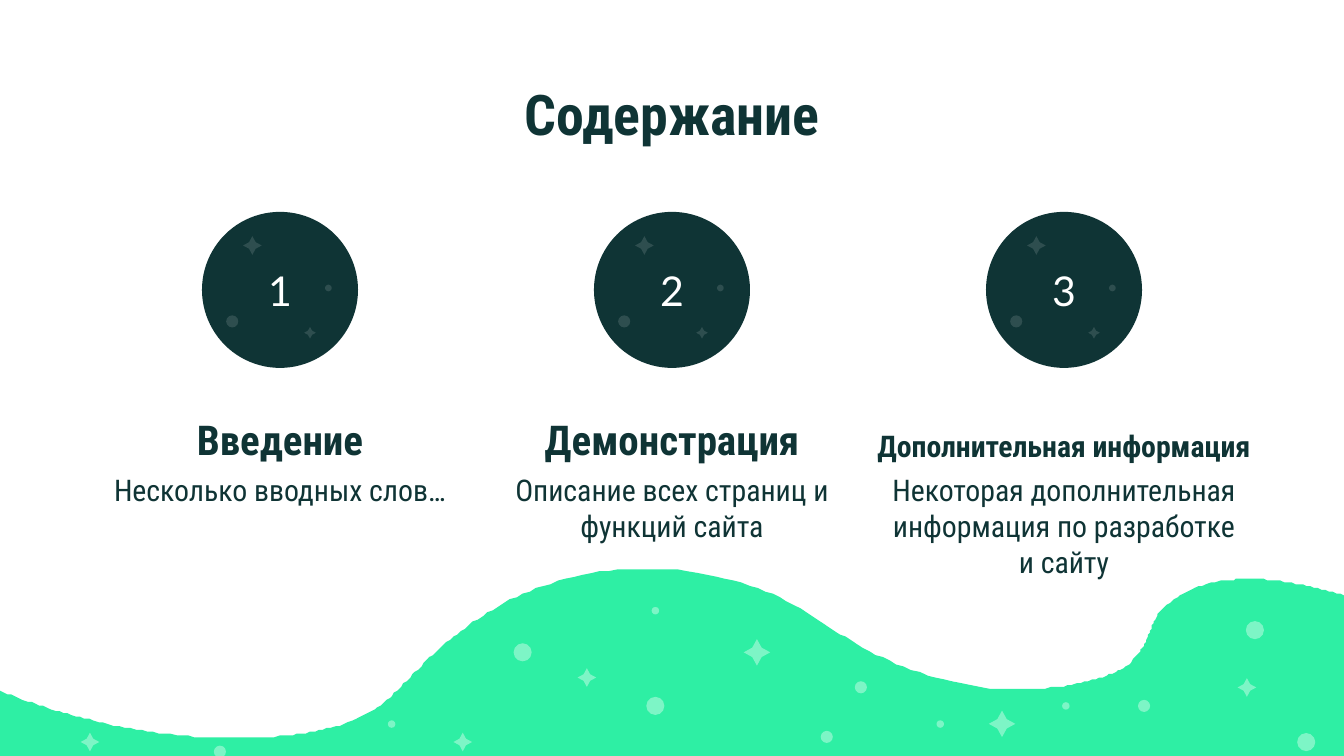
from lxml import etree
from pptx import Presentation
from pptx import util as u
from pptx.dml.color import RGBColor
from pptx.enum import shapes, text
from pptx.oxml.ns import qn

INK, GREEN, WHITE = "0F3435", "2EEFA4", "FFFFFF"
CONDENSED, LATO = "Roboto Condensed", "Lato"
DOT, STAR = shapes.MSO_SHAPE.OVAL, shapes.MSO_SHAPE.STAR_4_POINT
TOP, MIDDLE, BOTTOM = (text.MSO_ANCHOR.TOP, text.MSO_ANCHOR.MIDDLE,
                       text.MSO_ANCHOR.BOTTOM)

# Each segment holds two control points and an end point, or only an end point.
WAVE_START = (346.3, 304.6)
WAVE = [
    [(303.8, 304.6), (272.9, 319.7), (253.4, 333.4)],
    [(241.2, 342), (231.1, 350.6), (222.5, 360)],
    [(212.4, 370.1), (204.5, 380.9), (183.6, 388.1)],
    [(167.8, 393.1), (147.6, 395.3), (126.7, 395.3)],
    [(101.5, 395.3), (74.2, 392.4), (52.6, 386.6)],
    [(33.1, 382.3), (16.6, 376.6), (0, 370.1)],
    [(0, 424.8)],
    [(720, 424.8)],
    [(720, 319)],
    [(704.9, 314.6), (688.3, 310.3), (670.3, 310.3)],
    [(666, 310.3), (661, 310.3), (656.6, 311)],
    [(634.3, 313.9), (622.8, 324), (618.5, 332.6)],
    [(614.2, 341.3), (613.4, 350.6), (600.5, 358.6)],
    [(589.7, 364.3), (570.2, 368.6), (550.1, 369.4)],
    [(546.5, 369.4)],
    [(501.8, 369.4), (469.4, 352.1), (447.1, 337.7)],
    [(424.8, 321.8), (393.1, 304.6), WAVE_START],
]

# Kind, centre x, centre y, size
WAVE_SPARKLES = [
    (DOT, 612.9, 378.2, 6.5), (DOT, 461.2, 368.2, 6.5), (DOT, 442.9, 394.8, 6.5),
    (DOT, 117.8, 402.7, 6.5), (DOT, 280, 349.5, 9.7), (DOT, 672.3, 337.6, 9.7),
    (DOT, 351.1, 378.2, 9.7), (DOT, 699.8, 397.6, 9.7), (DOT, 209.8, 387.9, 4),
    (DOT, 351.1, 327.2, 4), (DOT, 503.7, 387.9, 4), (DOT, 571, 378.2, 4),
    (STAR, 314.4, 363, 10), (STAR, 405.5, 349.5, 14.2), (STAR, 247.9, 397.5, 10),
    (STAR, 536.8, 387.8, 14.2), (STAR, 668, 368.3, 10), (STAR, 48.2, 397.5, 10),
]
BADGE_SPARKLES = [(DOT, 16.2, 58.7, 6.5), (STAR, 27, 18, 10),
                  (DOT, 67.7, 40.8, 3.6), (STAR, 57.9, 64.8, 6.3)]

COLUMNS = [
    ("Введение", 22, "Несколько вводных слов…"),
    ("Демонстрация", 22, "Описание всех страниц и функций сайта"),
    ("Дополнительная информация", 16,
     "Некоторая дополнительная информация по разработке и сайту"),
]


def rgb(hex_color):
    return RGBColor.from_string(hex_color)


def paint(shape, color, opacity=100):
    """Give a shape a plain fill, with no line or shadow."""
    shape.shadow.inherit = False
    shape.line.fill.background()
    shape.fill.solid()
    shape.fill.fore_color.rgb = rgb(color)
    if opacity < 100:
        node = shape.fill._xPr.find(".//" + qn("a:srgbClr"))
        etree.SubElement(node, qn("a:alpha"), val=str(opacity * 1000))


def add_text(page, box, words, size, font=CONDENSED, color=INK, bold=False,
             anchor=TOP, inset=0):
    label = page.shapes.add_textbox(*map(u.Pt, box))
    frame = label.text_frame
    frame.word_wrap = True
    frame.vertical_anchor = anchor
    frame.margin_left = frame.margin_right = u.Pt(inset)
    frame.margin_top = frame.margin_bottom = u.Pt(inset)
    para = frame.paragraphs[0]
    para.alignment = text.PP_ALIGN.CENTER
    span = para.add_run()
    span.text = words
    span.font.name, span.font.size, span.font.bold = font, u.Pt(size), bold
    span.font.color.rgb = rgb(color)


def add_sparkles(group, left, top, sparkles, opacity):
    for kind, x, y, size in sparkles:
        sparkle = group.shapes.add_shape(
            kind, u.Pt(left + x - size / 2), u.Pt(top + y - size / 2),
            u.Pt(size), u.Pt(size))
        if kind == STAR:
            sparkle.adjustments[0] = 0.25
        paint(sparkle, WHITE, opacity)


def curve_points(start, segments, steps=24):
    """Turn cubic curves and straight segments into a list of points."""
    points = [start]
    for segment in segments:
        if len(segment) == 1:
            points += segment
            continue
        corners = [points[-1], *segment]
        for step in range(1, steps + 1):
            t = step / steps
            weights = ((1 - t) ** 3, 3 * t * (1 - t) ** 2, 3 * t * t * (1 - t), t ** 3)
            points.append(tuple(sum(w * corner[axis] for w, corner in zip(weights, corners))
                                for axis in (0, 1)))
    return points


def add_wave(page, left, top):
    points = [(left + x, top + y) for x, y in curve_points(WAVE_START, WAVE)]
    builder = page.shapes.build_freeform(*points[0], scale=u.Pt(1))
    builder.add_line_segments(points[1:], close=True)
    paint(builder.convert_to_shape(), GREEN)
    add_sparkles(page.shapes.add_group_shape(), left, top, WAVE_SPARKLES, 38)


def add_badge(page, left, top, size, number):
    group = page.shapes.add_group_shape()
    disc = group.shapes.add_shape(DOT, *map(u.Pt, (left, top, size, size)))
    paint(disc, INK)
    add_sparkles(group, left, top, BADGE_SPARKLES, 13)
    add_text(page, (left, top + 28.3, size, 27.4), str(number), 22, LATO, WHITE,
             anchor=MIDDLE)


def add_column(page, left, top, width, number, heading, heading_size, summary):
    badge = 83.6
    add_badge(page, left + (width - badge) / 2, top, badge, number)
    overhang = 9.4 if heading_size < 22 else 0
    add_text(page, (left - overhang, top + 107.4, width + 2 * overhang, 27.4), heading,
             heading_size, bold=True, anchor=BOTTOM)
    add_text(page, (left, top + 139.2, width, 45.4), summary, 16)


def main():
    deck = Presentation()
    deck.slide_width, deck.slide_height = u.Pt(720), u.Pt(405)
    page = deck.slides.add_slide(deck.slide_layouts[6])
    page.background.fill.solid()
    page.background.fill.fore_color.rgb = rgb(WHITE)

    add_wave(page, 0, 0)
    add_text(page, (56.7, 35.3, 606.6, 45.4), "Содержание", 30, bold=True, inset=7.2)
    for index, column in enumerate(COLUMNS):
        add_column(page, 56.7 + 210 * index, 113.5, 186.6, index + 1, *column)

    deck.save("out.pptx")


if __name__ == "__main__":
    main()
